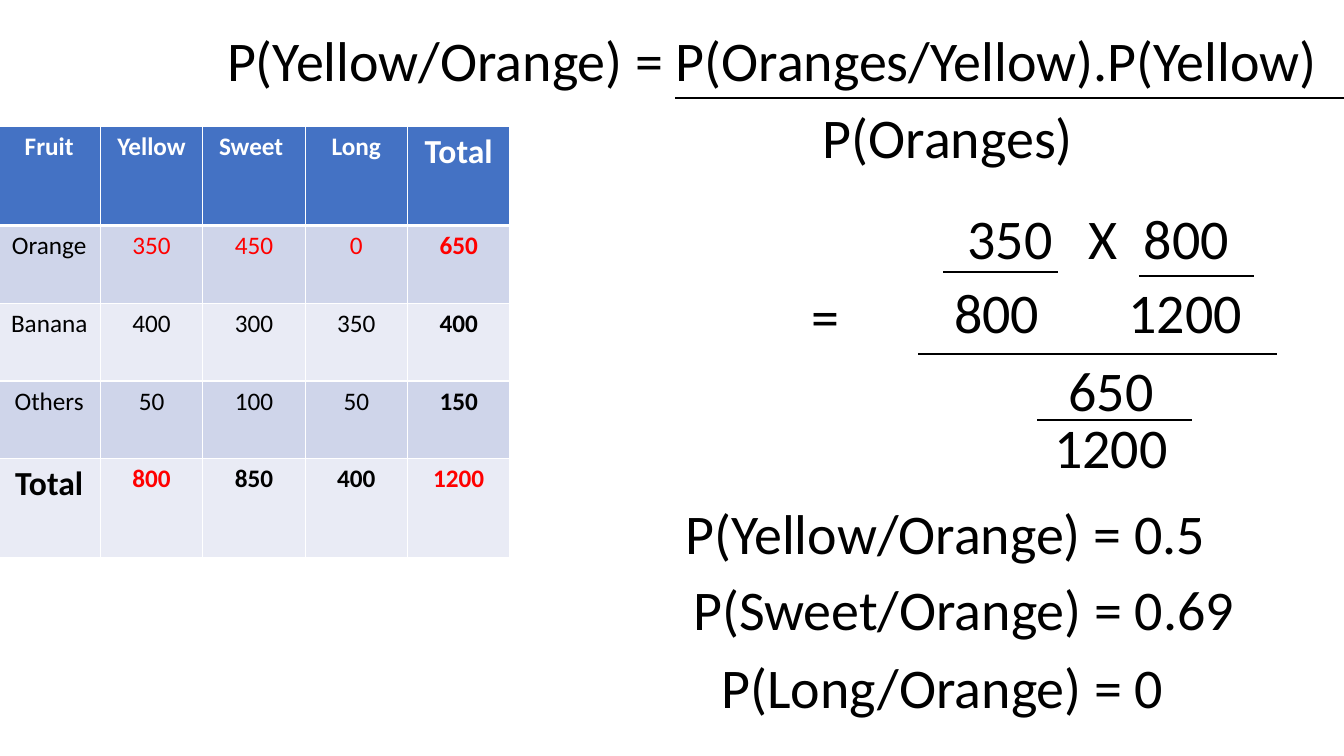
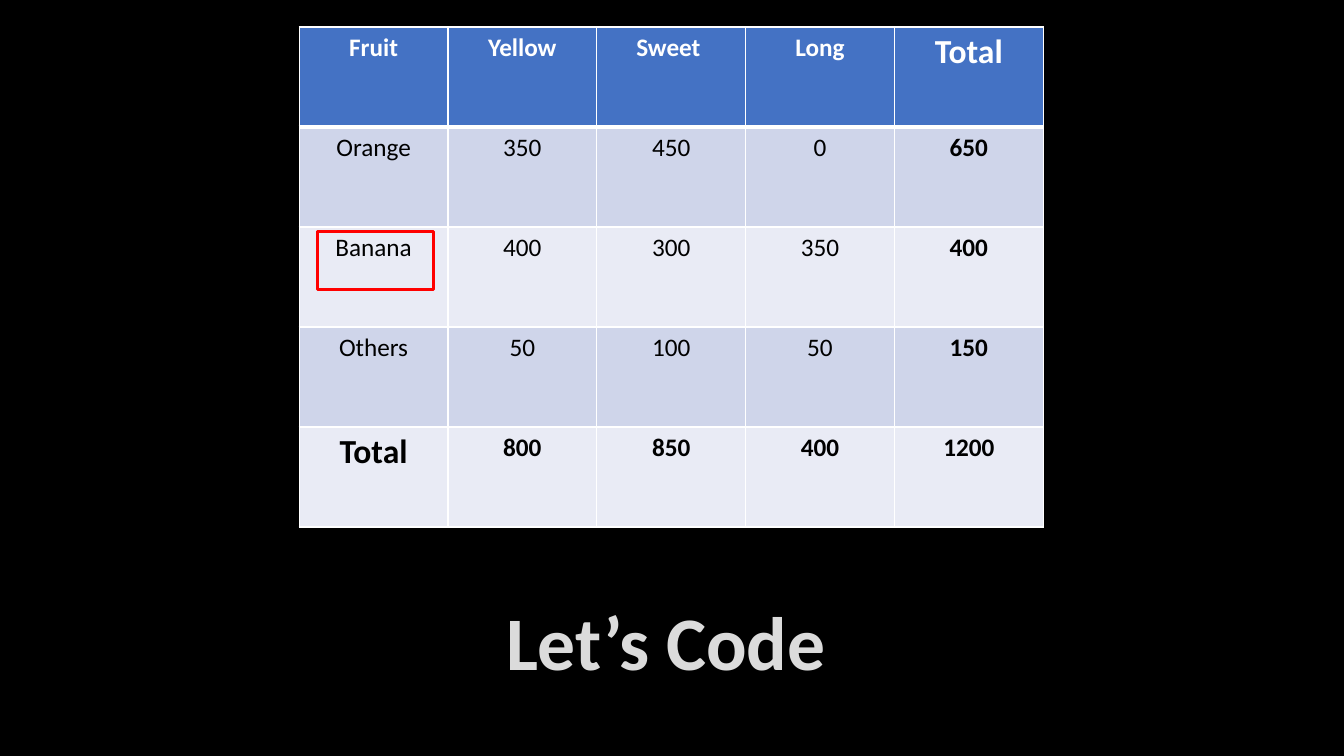
from lxml import etree
from pptx import Presentation
from pptx.dml.color import RGBColor
from pptx.enum.shapes import MSO_CONNECTOR, MSO_SHAPE
from pptx.enum.text import MSO_ANCHOR, MSO_AUTO_SIZE, PP_ALIGN
from pptx.oxml.ns import qn
from pptx.util import Cm, Pt

LEFT, CENTER = PP_ALIGN.LEFT, PP_ALIGN.CENTER
TOP = MSO_ANCHOR.TOP
NO_FIT = MSO_AUTO_SIZE.NONE
RECT = MSO_SHAPE.RECTANGLE
STRAIGHT = MSO_CONNECTOR.STRAIGHT
TITLE_ONLY = 5

FONT = "Calibri"
FORMULA_SIZE = 40
LINE_H = 1.96
SLIDE_W, SLIDE_H = 33.87, 19.05
COLORS = {
    "black": "000000",
    "white": "FFFFFF",
    "header": "4472C4",
    "odd_row": "CFD5EA",
    "even_row": "E9EBF5",
    "red": "FF0000",
    "silver": "DBDBDB",
}

FRUIT_ROWS = [
    ["Fruit", "Yellow", "Sweet ", "Long", "Total"],
    ["Orange", "350", "450", "0", "650"],
    ["Banana", "400", "300", "350", "400"],
    ["Others", "50", "100", "50", "150"],
    ["Total", "800", "850", "400", "1200"],
]
# Cells that enter the calculation, as (row, column)
USED_CELLS = {(1, 1), (1, 2), (1, 3), (1, 4), (4, 1), (4, 4)}


def rgb(name):
    return RGBColor.from_string(COLORS[name])


def style_paragraph(p, size, color="black", bold=False, align=CENTER):
    p.alignment = align
    p.font.name = FONT
    p.font.size = Pt(size)
    p.font.bold = bold
    p.font.color.rgb = rgb(color)


def fill_text(sp, text, size=FORMULA_SIZE, wrap=False, **style):
    tf = sp.text_frame
    tf.word_wrap = wrap
    tf.auto_size = NO_FIT
    tf.vertical_anchor = TOP
    tf.text = text
    style_paragraph(tf.paragraphs[0], size, **style)


def add_text(s, text, left, top, width, **style):
    sp = s.shapes.add_textbox(Cm(left), Cm(top), Cm(width), Cm(LINE_H))
    fill_text(sp, text, **style)


def place_title(s, text, left, top, width, height, **style):
    sp = s.shapes.title
    sp.left, sp.top, sp.width, sp.height = Cm(left), Cm(top), Cm(width), Cm(height)
    fill_text(sp, text, **style)


def add_bar(s, x1, x2, y):
    line = s.shapes.add_connector(STRAIGHT, Cm(x1), Cm(y), Cm(x2), Cm(y))
    line.line.color.rgb = rgb("black")
    line.line.width = Pt(1.5)
    etree.SubElement(line._element.spPr, qn("a:effectLst"))


def add_border(cell, side, points):
    tc_pr = cell._tc.get_or_add_tcPr()
    ln = etree.SubElement(tc_pr, qn(f"a:ln{side}"), w=str(Pt(points)))
    fill = etree.SubElement(ln, qn("a:solidFill"))
    etree.SubElement(fill, qn("a:srgbClr"), val=COLORS["white"])


def add_fruit_table(s, left, top, col_w, row_heights, red_cells=()):
    n = len(FRUIT_ROWS)
    table = s.shapes.add_table(n, n, Cm(left), Cm(top), Cm(col_w * n),
                               Cm(sum(row_heights))).table
    for col in table.columns:
        col.width = Cm(col_w)
    for r, values in enumerate(FRUIT_ROWS):
        table.rows[r].height = Cm(row_heights[r])
        for c, value in enumerate(values):
            cell = table.cell(r, c)
            # The rule under the header row is heavier
            for side in "LRTB":
                heavy = (r, side) in {(0, "B"), (1, "T")}
                add_border(cell, side, 3 if heavy else 1)
            row_fill = "header" if r == 0 else ("even_row", "odd_row")[r % 2]
            cell.fill.solid()
            cell.fill.fore_color.rgb = rgb(row_fill)
            cell.text = value
            color = "white" if r == 0 else "red" if (r, c) in red_cells else "black"
            style_paragraph(cell.text_frame.paragraphs[0],
                            24 if value == "Total" else 18, color,
                            bold=r in (0, n - 1) or c == n - 1)


def add_fraction(s, left, top):
    # Terms: text, centre x, y
    width = 3
    for text, x, y in [
        ("=", 0.81, 1.96),
        ("350", 5.45, 0), ("X", 7.81, 0), ("800", 9.9, 0),
        ("800", 5.12, 1.86), ("1200", 9.87, 1.86),
        ("650", 8, 3.84), ("1200", 8, 5.26),
    ]:
        add_text(s, text, left + x - width / 2, top + y, width)
    # Fraction bars
    for x1, x2, y in [(3.77, 6.67, 1.86), (8.7, 11.6, 1.96),
                      (3.14, 12.18, 3.93), (6.14, 10.05, 5.59)]:
        add_bar(s, left + x1, left + x2, top + y)


def add_results(s, left, top):
    for text, dx, dy in [
        ("P(Yellow/Orange) = 0.5", 0, 0),
        ("P(Sweet/Orange) = 0.69", 0.2, 1.9),
        ("P(Long/Orange) = 0", 0.91, 3.86),
    ]:
        add_text(s, text, left + dx, top + dy, 15.5, wrap=True, align=LEFT)


def new_slide(prs, background):
    s = prs.slides.add_slide(prs.slide_layouts[TITLE_ONLY])
    s.background.fill.solid()
    s.background.fill.fore_color.rgb = rgb(background)
    return s


def build_formula_slide(prs):
    s = new_slide(prs, "white")
    # Bayes formula
    place_title(s, "P(Yellow/Orange) = P(Oranges/Yellow).P(Yellow)",
                5.33, 0.51, 28.24, LINE_H)
    add_text(s, "P(Oranges)", 20.45, 2.46, 6.88)
    add_bar(s, 17.02, SLIDE_W, 2.46)
    # Calculation beside the table
    add_fraction(s, 20, 5)
    add_fruit_table(s, -0.05, 3.18, 2.58, [2.5, 1.96, 1.96, 1.96, 2.5], USED_CELLS)
    add_results(s, 17.02, 12.45)


def build_code_slide(prs):
    s = new_slide(prs, "black")
    left, top, row_h = 7.54, 0.68, 2.52
    add_fruit_table(s, left, top, 3.75, [row_h] * len(FRUIT_ROWS))
    # Frame around Banana
    frame = s.shapes.add_shape(RECT, Cm(left + 0.46), Cm(top + 2 * row_h + 0.12),
                               Cm(2.92), Cm(1.45))
    frame.shadow.inherit = False
    frame.fill.background()
    frame.line.color.rgb = rgb("red")
    frame.line.width = Pt(2.25)
    # Closing call
    place_title(s, "Let’s Code", 12.45, 14.86, 8.66, 2.57,
                size=54, color="silver", bold=True)


def main():
    prs = Presentation()
    prs.slide_width, prs.slide_height = Cm(SLIDE_W), Cm(SLIDE_H)
    build_formula_slide(prs)
    build_code_slide(prs)
    prs.save("out.pptx")


if __name__ == "__main__":
    main()
